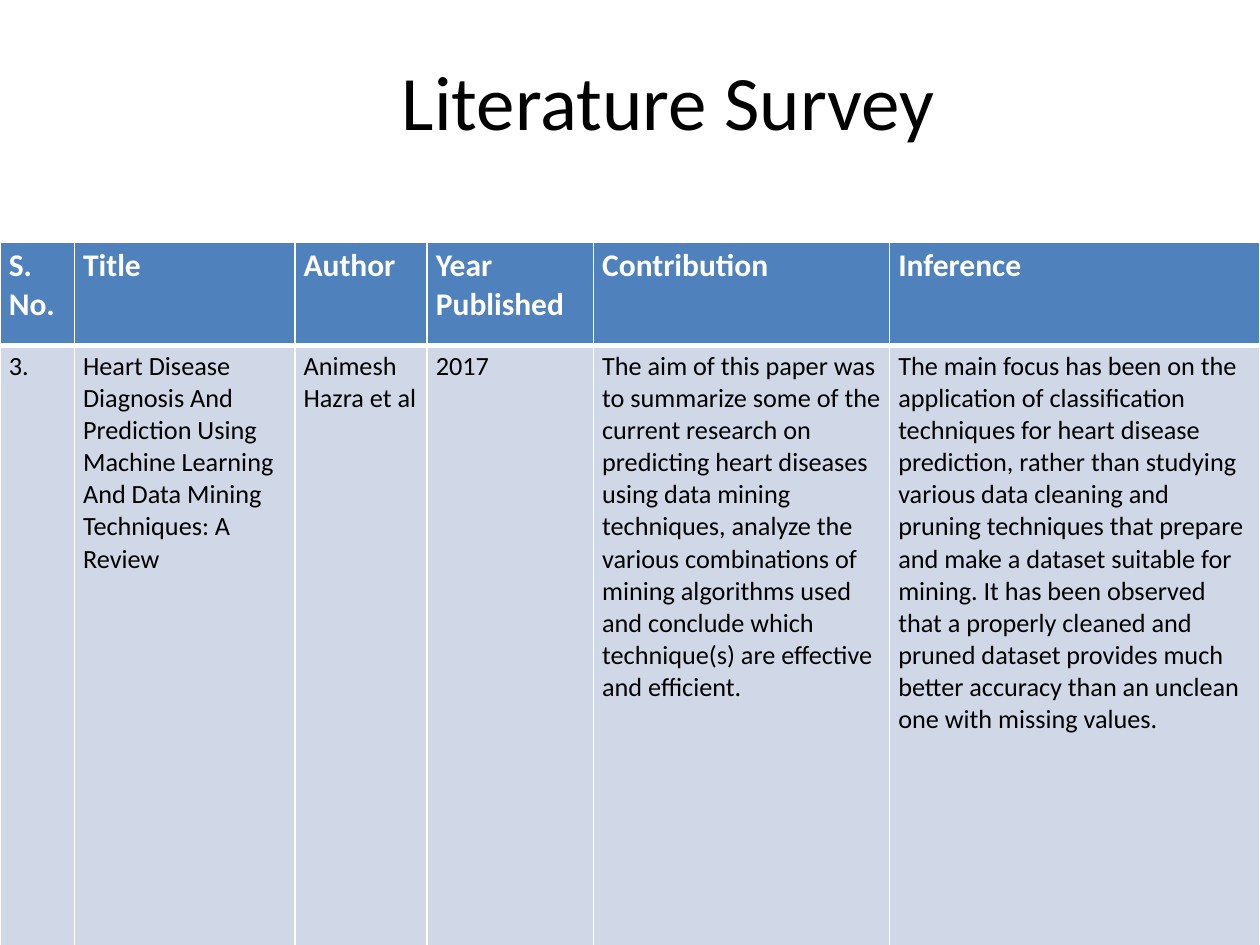
"""Build the literature survey slide with its table of papers."""
from lxml.etree import SubElement
from pptx import Presentation
from pptx.dml.color import RGBColor as Rgb
from pptx.enum.text import MSO_ANCHOR as Anchor, PP_ALIGN as Align
from pptx.oxml.ns import qn
from pptx.util import Inches, Pt

THEME = {
    "font": "Calibri",
    "title": {"size": 44, "color": "000000", "bold": False},
    "rows": [
        {"size": 18, "color": "FFFFFF", "bold": True, "fill": "4F81BD"},
        {"size": 15, "color": "000000", "bold": False, "fill": "D0D8E8"},
    ],
    "border": "FFFFFF",
}
COLUMN_WIDTHS = [0.59, 1.75, 1.05, 1.32, 2.35, 2.94]
ROW_HEIGHTS = [0.82, 4.8]
ROW_BORDERS = [
    {"lnL": 1, "lnR": 1, "lnT": 1, "lnB": 3},
    {"lnL": 1, "lnR": 1, "lnT": 3, "lnB": 1},
]
CELL_MARGINS = {"margin_left": 0.07, "margin_top": 0.04, "margin_right": 0.07, "margin_bottom": 0.04}
SURVEY = [
    ["S. No.", "Title", "Author", "Year Published", "Contribution", "Inference"],
    [
        "3.",
        "Heart Disease Diagnosis And Prediction Using Machine Learning And Data Mining "
        "Techniques: A Review",
        "Animesh Hazra et al",
        "2017",
        "The aim of this paper was to summarize some of the current research on predicting "
        "heart diseases using data mining techniques, analyze the various combinations of "
        "mining algorithms used and conclude which technique(s) are effective and efficient.",
        "The main focus has been on the application of classification techniques for heart "
        "disease prediction, rather than studying various data cleaning and pruning techniques "
        "that prepare and make a dataset suitable for mining. It has been observed that a "
        "properly cleaned and pruned dataset provides much better accuracy than an unclean one "
        "with missing values.",
    ],
]


def write(frame, text, style):
    span = frame.paragraphs[0].add_run()
    span.text = text
    for name, value in {"name": THEME["font"], "size": Pt(style["size"]), "bold": style["bold"]}.items():
        setattr(span.font, name, value)
    span.font.color.rgb = Rgb.from_string(style["color"])


def add_borders(cell, borders):
    properties = cell._tc.get_or_add_tcPr()
    for side, width in borders.items():
        line = SubElement(properties, qn(f"a:{side}"), w=str(Pt(width)))
        SubElement(SubElement(line, qn("a:solidFill")), qn("a:srgbClr"), val=THEME["border"])


deck = Presentation()
deck.slide_width, deck.slide_height = Inches(10), Inches(7.5)
page = deck.slides.add_slide(deck.slide_layouts[5])

table = page.shapes.add_table(
    len(ROW_HEIGHTS), len(COLUMN_WIDTHS), Inches(0), Inches(1.92), Inches(10), Inches(5.62)
).table
for column, width in zip(table.columns, COLUMN_WIDTHS):
    column.width = Inches(width)

for row, height, texts, style, borders in zip(
    table.rows, ROW_HEIGHTS, SURVEY, THEME["rows"], ROW_BORDERS
):
    row.height = Inches(height)
    for cell, text in zip(row.cells, texts):
        for name, value in CELL_MARGINS.items():
            setattr(cell, name, Inches(value))
        add_borders(cell, borders)
        cell.fill.solid()
        cell.fill.fore_color.rgb = Rgb.from_string(style["fill"])
        write(cell.text_frame, text, style)

title = page.shapes.title
for name, value in {"left": 0.46, "top": 0.17, "width": 9, "height": 1.25}.items():
    setattr(title, name, Inches(value))
frame = title.text_frame
for name, value in {"margin_left": Inches(0.79), "vertical_anchor": Anchor.MIDDLE, "word_wrap": True}.items():
    setattr(frame, name, value)
frame.paragraphs[0].alignment = Align.CENTER
write(frame, "Literature Survey", THEME["title"])

deck.save("out.pptx")
